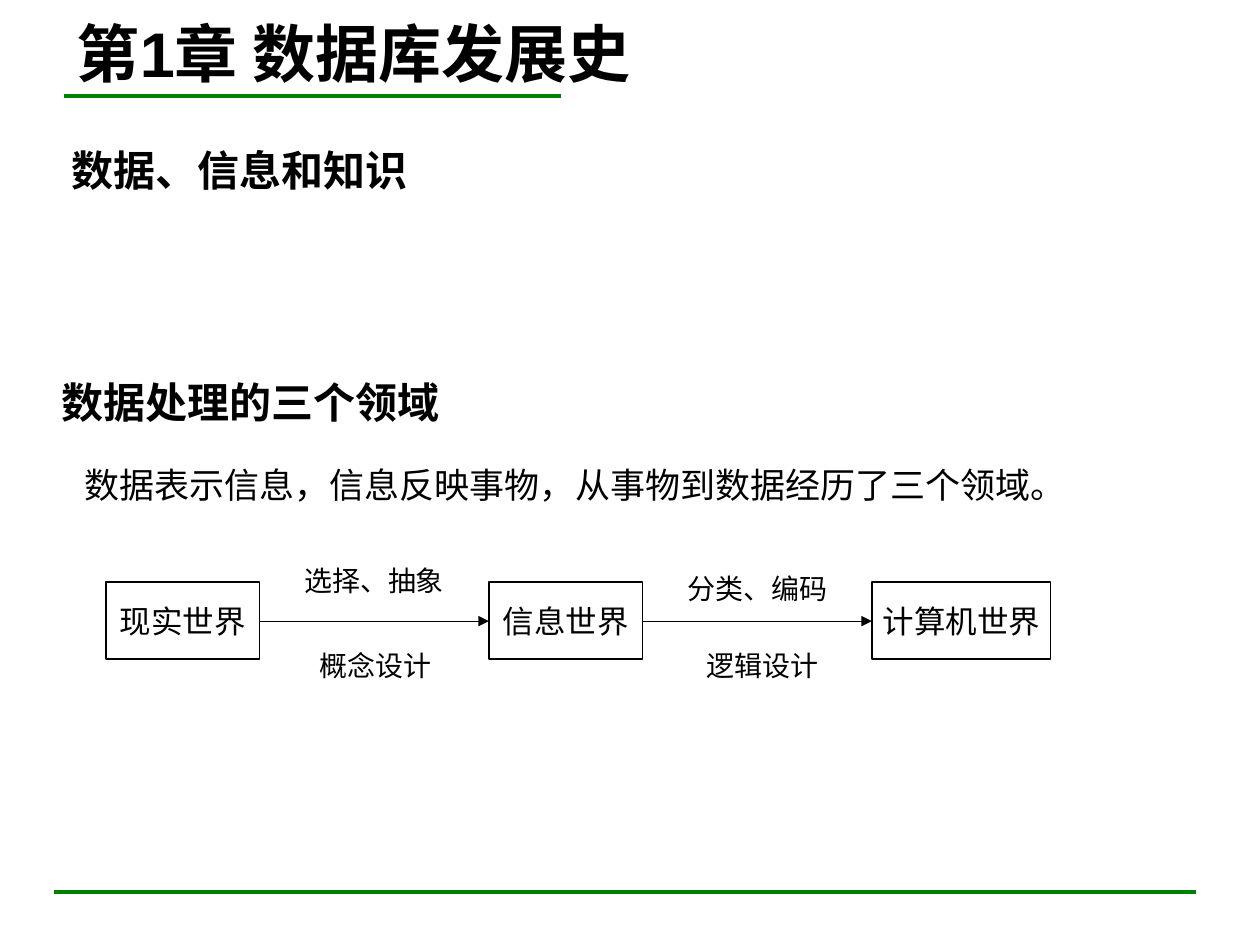
from lxml.etree import SubElement
from pptx import Presentation
from pptx.dml.color import RGBColor
from pptx.enum.shapes import MSO_CONNECTOR, MSO_SHAPE
from pptx.enum.text import MSO_ANCHOR, PP_ALIGN
from pptx.oxml.ns import qn
from pptx.util import Inches, Pt

COLORS = {"text": "000000", "rule": "008000", "box": "FFFFFF"}
CJK = "Noto Sans CJK SC"
HEADING = {"size": Pt(24), "name": CJK, "bold": True}
BODY = {"size": Pt(20), "name": "Arial", "bold": False}
WORLD = {"size": Pt(18), "name": "Times New Roman", "bold": False}
STEP = {"size": Pt(16), "name": "Times New Roman", "bold": False}
DESIGN = {"size": Pt(16), "name": "Arial", "bold": False}


def color(key):
    """Return a palette colour."""
    return RGBColor.from_string(COLORS[key])


def write(holder, text, style, align=PP_ALIGN.LEFT, anchor=MSO_ANCHOR.MIDDLE,
          insets=(0.1, 0.05), wrap=True):
    """Put one formatted paragraph into a shape."""
    frame = holder.text_frame
    side, edge = map(Inches, insets)
    layout = {"word_wrap": wrap, "vertical_anchor": anchor,
              "margin_left": side, "margin_right": side,
              "margin_top": edge, "margin_bottom": edge}
    for attribute, value in layout.items():
        setattr(frame, attribute, value)
    paragraph = frame.paragraphs[0]
    paragraph.alignment = align
    run = paragraph.add_run()
    run.text = text
    for attribute, value in style.items():
        setattr(run.font, attribute, value)
    run.font.color.rgb = color("text")
    SubElement(run.font._element, qn("a:ea"), typeface=CJK)


def add_title(slide, text):
    """Place and fill the title placeholder."""
    title = slide.shapes.title
    place = {"left": 0.51, "top": 0.14, "width": 8.03, "height": 0.55}
    for attribute, value in place.items():
        setattr(title, attribute, Inches(value))
    write(title, text, {"size": Pt(36), "name": "Arial", "bold": True})


def add_label(slide, place, text, style, **layout):
    """Add a text box."""
    label = slide.shapes.add_textbox(*map(Inches, place))
    write(label, text, style, **layout)


def add_world(slide, place, text):
    """Add an outlined box for one world."""
    world = slide.shapes.add_shape(MSO_SHAPE.RECTANGLE, *map(Inches, place))
    world.shadow.inherit = False
    world.fill.solid()
    world.fill.fore_color.rgb = color("box")
    world.line.color.rgb = color("text")
    world.line.width = Pt(0.75)
    write(world, text, WORLD, align=PP_ALIGN.CENTER, insets=(0, 0.02))


def add_line(slide, left, right, y, key, weight, arrow=False):
    """Add a horizontal line, with an arrowhead if wanted."""
    line = slide.shapes.add_connector(
        MSO_CONNECTOR.STRAIGHT, *map(Inches, (left, y, right, y)))
    line.line.color.rgb = color(key)
    line.line.width = Pt(weight)
    if arrow:
        SubElement(line.line._get_or_add_ln(), qn("a:tailEnd"), type="triangle")
    SubElement(line._element.spPr, qn("a:effectLst"))


def add_flow(slide):
    """Draw the three worlds and the steps between them."""
    first, pitch, top, width, height = 0.84, 3.04, 4.62, 1.22, 0.61
    worlds = [("现实世界", width), ("信息世界", width), ("计算机世界", 1.42)]
    for index, (name, world_width) in enumerate(worlds):
        add_world(slide, (first + index * pitch, top, world_width, height), name)
    steps = [("选择、抽象", 4.26, "概念设计", 2.44),
             ("分类、编码", 4.32, "逻辑设计", 5.51)]
    for index, (step, step_top, design, design_left) in enumerate(steps):
        left = first + index * pitch
        start = left + width
        add_line(slide, start, left + pitch, 4.93, "text", 0.75, arrow=True)
        add_label(slide, (start + 0.2, step_top, 1.42, 0.48), step, STEP,
                  align=PP_ALIGN.CENTER, anchor=MSO_ANCHOR.BOTTOM, insets=(0.1, 0))
        add_label(slide, (design_left, 5.1, 1.26, 0.37), design, DESIGN,
                  anchor=MSO_ANCHOR.TOP)


def main():
    """Build and save the slide."""
    deck = Presentation()
    deck.slide_width, deck.slide_height = Inches(10), Inches(7.5)
    slide = deck.slides.add_slide(deck.slide_layouts[5])
    add_line(slide, 0.43, 9.49, 7.08, "rule", 2.25)
    add_line(slide, 0.51, 4.45, 0.76, "rule", 2.25)
    add_title(slide, "第1章 数据库发展史")
    add_label(slide, (0.47, 1.09, 2.91, 0.51), "数据、信息和知识", HEADING)
    add_label(slide, (0.39, 2.85, 8.82, 0.67), "数据处理的三个领域", HEADING)
    add_label(slide, (0.57, 3.63, 7.99, 0.44),
              "数据表示信息，信息反映事物，从事物到数据经历了三个领域。", BODY,
              anchor=MSO_ANCHOR.TOP, wrap=False)
    add_flow(slide)
    deck.save("out.pptx")


if __name__ == "__main__":
    main()
